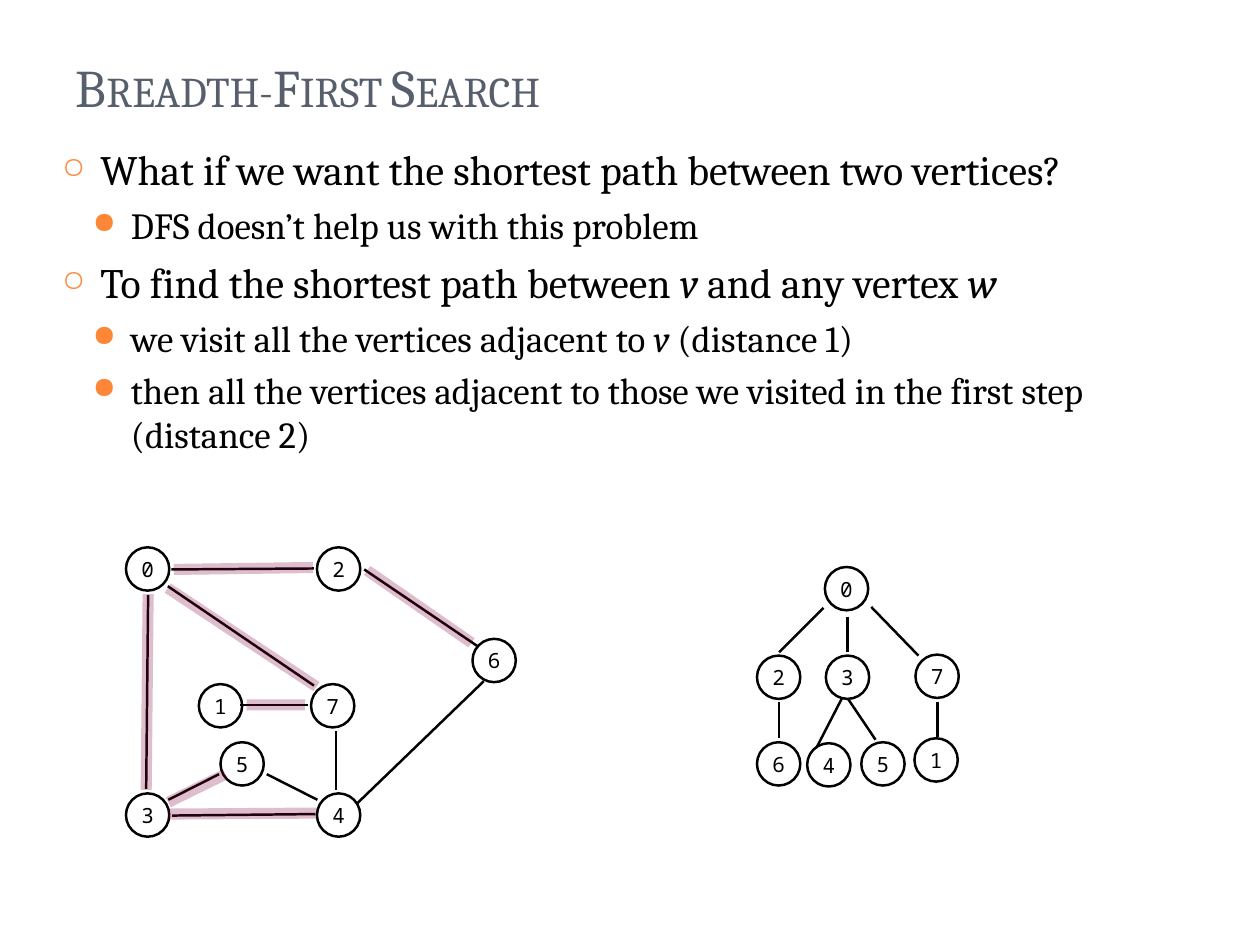
import lxml.etree
import pptx
import pptx.dml.color
import pptx.enum.shapes
import pptx.enum.text
import pptx.oxml.ns
import pptx.util

# The slide is a grid of 128 columns and 96 rows; every length is in cells.
COLUMNS, ROWS = 128, 96
CELL = pptx.util.Inches(1) / 9
NODE_SIZE = 4.4
INSET_X, INSET_Y = 1.3, 0.65

COLORS = {"title": "575F6D", "text": "000000", "bullet": "FE8637",
          "edge": "000000", "visited": "800040"}
TEXT_FONT, NODE_FONT = "Cambria", "Noto Sans Mono"

# Bullet character, its size in percent, text size, indent and space before
LEVELS = [
    {"char": "○", "percent": 70, "size": 34, "indent": 3.9, "before": 8.5},
    {"char": "●", "percent": 80, "size": 30, "indent": 7, "before": 6.5},
]
HANGING = 3.9

# Underscores enclose italics.
POINTS = [
    (0, "What if we want the shortest path between two vertices?"),
    (1, "DFS doesn’t help us with this problem"),
    (0, "To find the shortest path between _v_ and any vertex _w_"),
    (1, "we visit all the vertices adjacent to _v_ (distance 1)"),
    (1, "then all the vertices adjacent to those we visited in the first step (distance 2)"),
]

# Corners of nodes and ends of edges, in cells from the corner of their box
GRAPH_NODES = {"0": (0, 0), "2": (19.4, 0), "6": (35.2, 9.3), "1": (7.4, 13.9),
               "7": (18.8, 13.9), "3": (0, 25), "4": (19.4, 25), "5": (9.6, 19.8)}
GRAPH_EDGES = [
    (4.6, 2.25, 19.1, 2.15), (4.7, 27.25, 19.25, 27.1), (2.25, 4.85, 2.05, 24.55),
    (4.25, 3.95, 19.1, 14.05), (24.2, 2.25, 35.65, 10), (23.5, 26, 36.35, 13.6),
    (11.6, 16, 18.45, 16), (4.3, 25.65, 9.45, 23.05), (14.3, 23.05, 19.45, 25.65),
    (21.35, 18.65, 21.35, 24.65),
]
VISITED_EDGES = [
    (4.85, 2.25, 19, 2.05), (2.05, 24.65, 2.25, 4.75), (4.25, 4.15, 19.35, 14.15),
    (4.3, 25.9, 10.1, 23.05), (4.3, 27.1, 19.35, 27), (12.25, 16, 18.2, 16),
    (24.5, 2.35, 35.1, 9.7),
]
TREE_NODES = {"0": (6.9, 0), "7": (16.1, 8.9), "1": (16, 17.4), "6": (0, 17.8),
              "2": (0, 9), "3": (7, 9), "4": (5.1, 17.9), "5": (10.6, 17.8)}
TREE_EDGES = [
    (11.6, 4.05, 16.4, 9), (6.75, 4.15, 2.25, 8.65), (9.2, 5.05, 9.2, 8.65),
    (18.35, 13.7, 18.35, 17.3), (2.25, 13.75, 2.25, 17.35),
    (8.65, 13.3, 6.05, 18.35), (9.25, 13.4, 12.05, 17.55),
]


def cells(*counts):
    return [pptx.util.Emu(round(count * CELL)) for count in counts]


def rgb(name):
    return pptx.dml.color.RGBColor.from_string(COLORS[name])


def add_xml(parent, tag, **attributes):
    return lxml.etree.SubElement(parent, pptx.oxml.ns.qn(tag), attributes)


def add_span(para, text, size, font=TEXT_FONT, color="text", italic=False, small_caps=False):
    span = para.add_run()
    span.text = text
    span.font.size = pptx.util.Pt(size)
    span.font.name = font
    span.font.bold = False
    span.font.italic = italic
    span.font.color.rgb = rgb(color)
    if small_caps:
        span._r.get_or_add_rPr().set("cap", "small")


def set_frame(frame, anchor, inset_x=0, inset_y=0):
    frame.auto_size = pptx.enum.text.MSO_AUTO_SIZE.NONE
    frame.word_wrap = True
    frame.vertical_anchor = anchor
    frame.margin_left, frame.margin_right = cells(inset_x, inset_x)
    frame.margin_top, frame.margin_bottom = cells(inset_y, inset_y)


def set_title(page, box, text):
    title = page.shapes.title
    title.left, title.top, title.width, title.height = cells(*box)
    set_frame(title.text_frame, pptx.enum.text.MSO_ANCHOR.BOTTOM, INSET_X, INSET_Y)
    para = title.text_frame.paragraphs[0]
    para.alignment = pptx.enum.text.PP_ALIGN.LEFT
    add_span(para, text, 43, color="title", small_caps=True)


def add_bullet(para, level):
    """Set the indents, spacing and bullet of a paragraph."""
    style = LEVELS[level]
    para.level = level
    para.space_before = pptx.util.Pt(style["before"])
    properties = para._p.get_or_add_pPr()
    margin, hanging = cells(style["indent"], HANGING)
    properties.set("marL", str(margin))
    properties.set("indent", str(-hanging))
    add_xml(add_xml(properties, "a:buClr"), "a:srgbClr", val=COLORS["bullet"])
    add_xml(properties, "a:buSzPct", val=str(style["percent"] * 1000))
    add_xml(properties, "a:buChar", char=style["char"])


def add_points(page, box, points):
    frame = page.shapes.add_textbox(*cells(*box)).text_frame
    set_frame(frame, pptx.enum.text.MSO_ANCHOR.TOP, INSET_X, INSET_Y)
    for index, (level, text) in enumerate(points):
        para = frame.add_paragraph() if index else frame.paragraphs[0]
        add_bullet(para, level)
        for part, words in enumerate(text.split("_")):
            if words:
                add_span(para, words, LEVELS[level]["size"], italic=part % 2 == 1)


def add_node(page, left, top, label):
    node = page.shapes.add_shape(pptx.enum.shapes.MSO_SHAPE.OVAL,
                                 *cells(left, top, NODE_SIZE, NODE_SIZE))
    node.shadow.inherit = False
    node.fill.background()
    node.line.color.rgb = rgb("edge")
    node.line.width = pptx.util.Pt(2)
    set_frame(node.text_frame, pptx.enum.text.MSO_ANCHOR.MIDDLE)
    para = node.text_frame.paragraphs[0]
    para.alignment = pptx.enum.text.PP_ALIGN.CENTER
    add_span(para, label, 17, font=NODE_FONT)


def add_edge(page, ends, color="edge", width=2, opacity=100):
    edge = page.shapes.add_connector(pptx.enum.shapes.MSO_CONNECTOR.STRAIGHT, *cells(*ends))
    edge.line.color.rgb = rgb(color)
    edge.line.width = pptx.util.Pt(width)
    properties = edge._element.spPr
    if opacity < 100:
        fill = properties.find(".//" + pptx.oxml.ns.qn("a:srgbClr"))
        add_xml(fill, "a:alpha", val=str(opacity * 1000))
    add_xml(properties, "a:effectLst")


def add_graph(page, box, nodes, edges, visited=()):
    left, top = box[:2]

    def shifted(ends):
        return [ends[0] + left, ends[1] + top, ends[2] + left, ends[3] + top]

    for label, (x, y) in nodes.items():
        add_node(page, left + x, top + y, label)
    for ends in edges:
        add_edge(page, shifted(ends))
    for ends in visited:
        add_edge(page, shifted(ends), color="visited", width=9, opacity=25)


def main():
    deck = pptx.Presentation()
    deck.slide_width, deck.slide_height = cells(COLUMNS, ROWS)
    page = deck.slides.add_slide(deck.slide_layouts.get_by_name("Title Only"))
    set_title(page, (6.4, 3.9, 104.5, 8.7), "Breadth-First Search")
    add_points(page, (5, 14, 110.2, 38.8), POINTS)
    add_graph(page, (12.8, 55.6, 39.6, 29.4), GRAPH_NODES, GRAPH_EDGES, VISITED_EDGES)
    add_graph(page, (76.9, 57.6, 20.5, 22.3), TREE_NODES, TREE_EDGES)
    deck.save("out.pptx")


if __name__ == "__main__":
    main()
